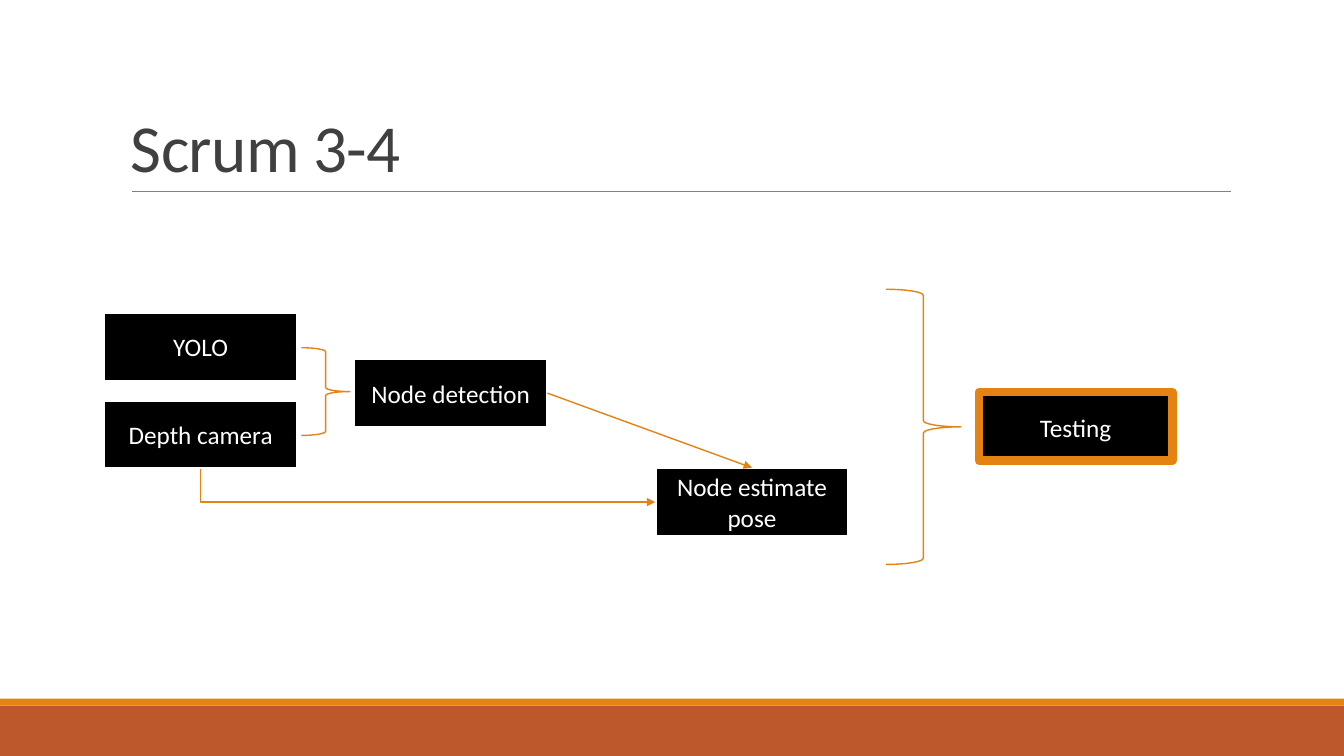
from lxml import etree
from pptx import Presentation
from pptx import util as u
from pptx.dml.color import RGBColor
from pptx.enum import shapes, text
from pptx.oxml import ns

BLACK = RGBColor(0x00, 0x00, 0x00)
WHITE = RGBColor(0xFF, 0xFF, 0xFF)
ORANGE = RGBColor(0xE4, 0x83, 0x12)
RUST = RGBColor(0xBD, 0x58, 0x2C)
GREY = RGBColor(0x80, 0x80, 0x80)
CHARCOAL = RGBColor(0x40, 0x40, 0x40)
RECT = shapes.MSO_SHAPE.RECTANGLE
BRACE = shapes.MSO_SHAPE.RIGHT_BRACE

prs = Presentation()
prs.slide_width, prs.slide_height = u.Inches(13.333), u.Inches(7.5)
s = prs.slides.add_slide(prs.slide_layouts[6])
COL, ROW = prs.slide_width / 100, prs.slide_height / 100


def add_shape(kind, x, y, w, h, fill=None, line=None, pt=1):
    sp = s.shapes.add_shape(kind, int(x * COL), int(y * ROW), int(w * COL), int(h * ROW))
    sp.shadow.inherit = False
    for part, color in ((sp.fill, fill), (sp.line.fill, line)):
        if color is None:
            part.background()
        else:
            part.solid()
            part.fore_color.rgb = color
    if line is not None:
        sp.line.width = u.Pt(pt)
    return sp


def add_line(kind, x1, y1, x2, y2, color, pt, arrow=False):
    c = s.shapes.add_connector(kind, int(x1 * COL), int(y1 * ROW), int(x2 * COL), int(y2 * ROW))
    c.line.color.rgb = color
    c.line.width = u.Pt(pt)
    if arrow:
        etree.SubElement(c.line._get_or_add_ln(), ns.qn("a:tailEnd"), type="triangle")
    etree.SubElement(c._element.spPr, ns.qn("a:effectLst"))
    return c


add_shape(RECT, 0, 93.33, 100, 6.67, RUST)
add_shape(RECT, 0, 92.4, 100, 0.93, ORANGE)
add_line(shapes.MSO_CONNECTOR.STRAIGHT, 9.83, 25.33, 91.58, 25.33, GREY, 0.5)

title = s.shapes.add_textbox(int(9 * COL), int(4.13 * ROW), int(82.5 * COL), int(21.2 * ROW))
tf = title.text_frame
tf.word_wrap = True
tf.vertical_anchor = text.MSO_ANCHOR.BOTTOM
p = tf.paragraphs[0]
p.line_spacing = 0.85
r = p.add_run()
r.text = "Scrum 3-4"
for name, value in {"size": u.Pt(48), "name": "Calibri"}.items():
    setattr(r.font, name, value)
r.font.color.rgb = CHARCOAL
r._r.get_or_add_rPr().set("spc", "-50")

BOX_W, BOX_H = 14.4, 9.07
label_format = {"size": u.Pt(18), "name": "Calibri"}
boxes = {}
for label, x, y in (
    ("Depth camera", 7.73, 52.93),
    ("YOLO", 7.73, 41.33),
    ("Node detection", 26.33, 47.47),
    ("Node estimate pose", 48.75, 61.87),
    ("Testing", 72.83, 52),
):
    sp = boxes[label] = add_shape(RECT, x, y, BOX_W, BOX_H, BLACK, WHITE, 2)
    tf = sp.text_frame
    tf.word_wrap = True
    tf.vertical_anchor = text.MSO_ANCHOR.MIDDLE
    p = tf.paragraphs[0]
    p.alignment = text.PP_ALIGN.CENTER
    r = p.add_run()
    r.text = label
    for name, value in label_format.items():
        setattr(r.font, name, value)
    r.font.color.rgb = WHITE

depth, detection, pose = (boxes[k] for k in ("Depth camera", "Node detection", "Node estimate pose"))
c = add_line(shapes.MSO_CONNECTOR.STRAIGHT, 40.73, 52, 55.95, 61.87, ORANGE, 1, True)
c.begin_connect(detection, 3)
c.end_connect(pose, 0)

c = add_line(shapes.MSO_CONNECTOR.ELBOW, 14.93, 62, 48.75, 66.4, ORANGE, 1, True)
c.begin_connect(depth, 2)
c.end_connect(pose, 1)
run, drop = c.width, c.height
c.left, c.top = c.left + (run - drop) // 2, c.top + (drop - run) // 2
c.width, c.height = drop, run
xfrm = c._element.spPr.find(ns.qn("a:xfrm"))
for name, value in {"rot": "16200000", "flipH": "1", "flipV": "0"}.items():
    xfrm.set(name, value)
c._element.spPr.find(ns.qn("a:prstGeom")).set("prst", "bentConnector2")

add_shape(BRACE, 65.93, 38.27, 5.55, 36.4, line=ORANGE)
add_shape(RECT, 72.83, 51.87, BOX_W, BOX_H, line=ORANGE, pt=6)
add_shape(BRACE, 22.43, 46, 3.6, 11.6, line=ORANGE)

prs.save("out.pptx")
